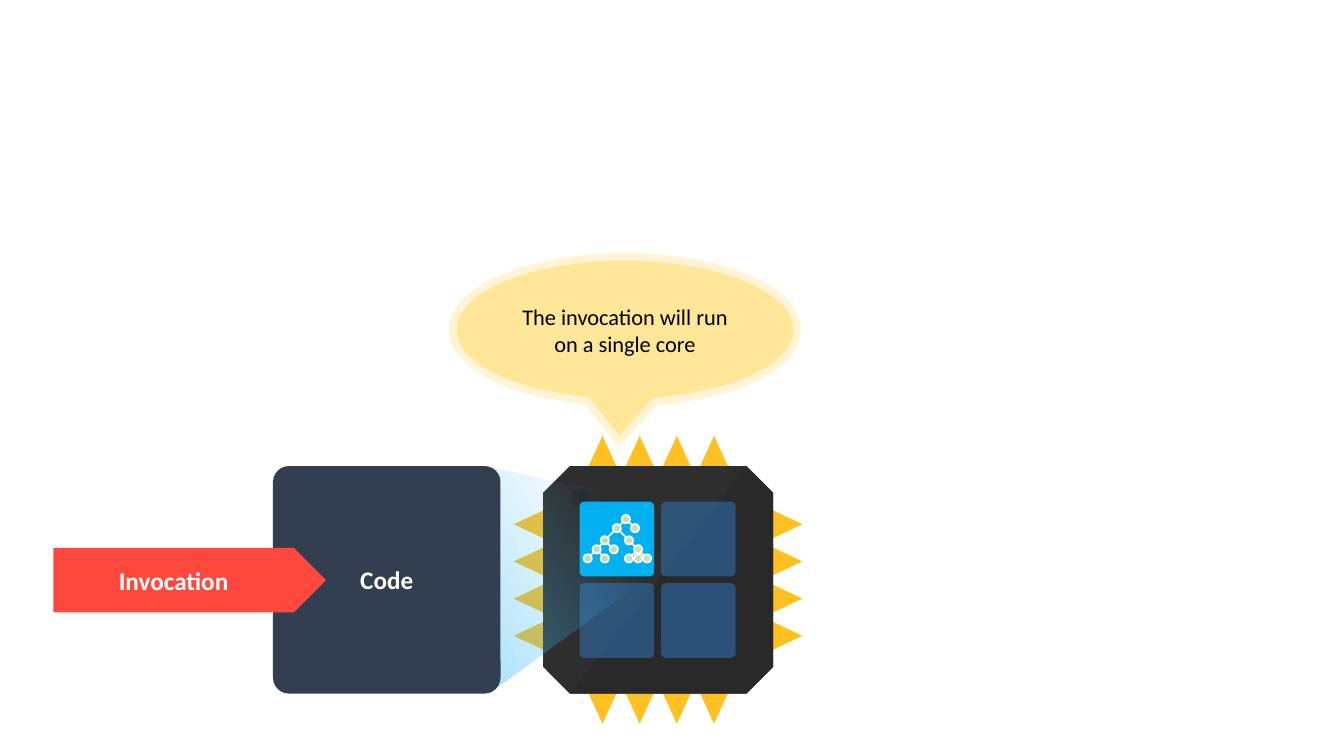
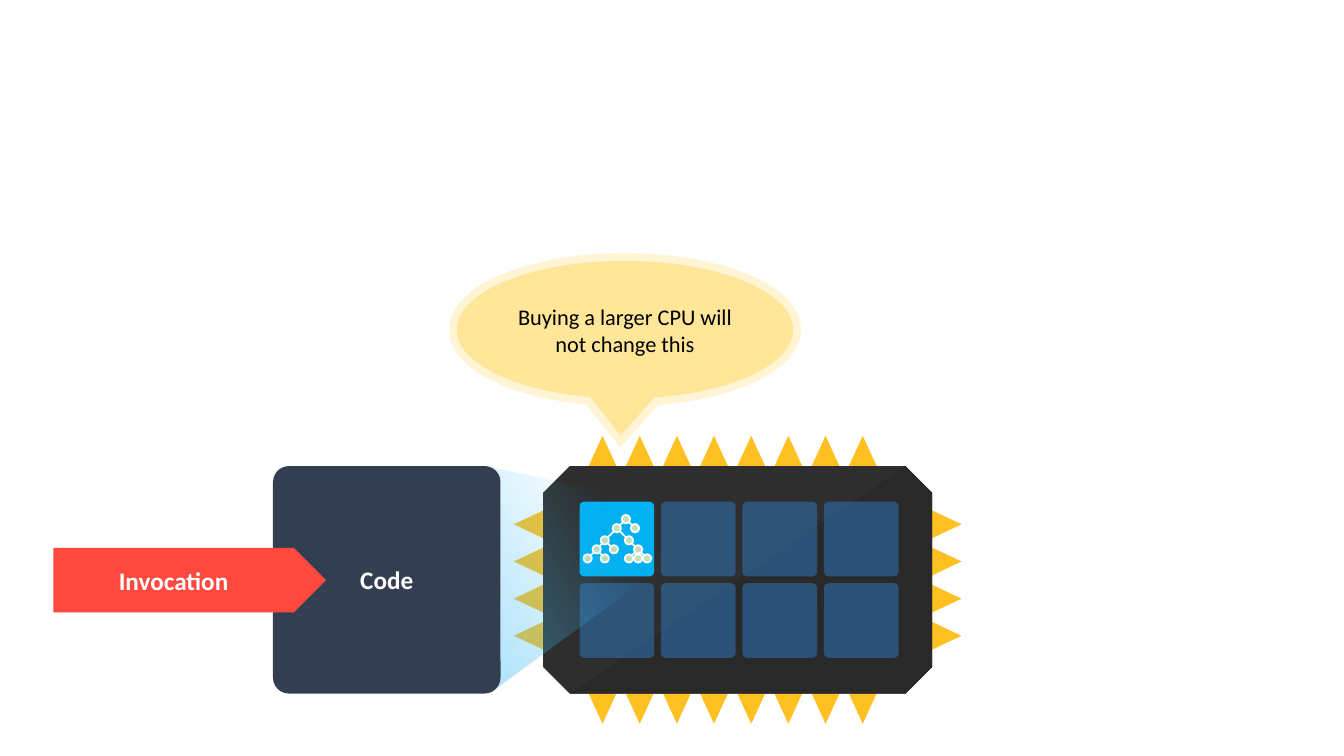
from lxml.etree import SubElement
from pptx import Presentation
from pptx.dml.color import RGBColor
from pptx.enum.shapes import MSO_CONNECTOR, MSO_SHAPE
from pptx.enum.text import MSO_ANCHOR, PP_ALIGN
from pptx.oxml.ns import qn
from pptx.util import Pt

WHITE = RGBColor(0xFF, 0xFF, 0xFF)
BLACK = RGBColor(0x00, 0x00, 0x00)
GOLD = RGBColor(0xFF, 0xC0, 0x21)
CHIP = RGBColor(0x2E, 0x2E, 0x2E)
CHIP_SHADE = RGBColor(0x29, 0x29, 0x29)
IDLE_CORE = RGBColor(0x2E, 0x75, 0xB6)
BUSY_CORE = RGBColor(0x00, 0xB0, 0xF0)
NODE = RGBColor(0xC5, 0xE0, 0xB4)
BEAM = RGBColor(0x43, 0xBF, 0xF7)
NAVY = RGBColor(0x33, 0x3F, 0x50)
RED = RGBColor(0xFF, 0x49, 0x3E)
CREAM = RGBColor(0xFF, 0xE6, 0x99)

LABEL = {"name": "Calibri", "size": Pt(18), "bold": True}
REMARK = {"name": "Calibri", "size": Pt(16), "bold": False}

CHIP_LEFT, CHIP_TOP, CHIP_HEIGHT = 388, 332.9, 162.5
CHIP_BOTTOM = CHIP_TOP + CHIP_HEIGHT
BEVEL = 0.117
PIN_PITCH, PIN_HALF, PIN_LENGTH, SIDE_PIN_LENGTH = 26.55, 9.9, 21.6, 21
FIRST_PIN_X, FIRST_PIN_Y, SIDE_PINS = 430.4, 374.5, 4
CORE_LEFT, CORE_TOP, CORE_SIZE, CORE_PITCH = 414, 358.4, 53.3, 58.2
CORE_ROWS = 2

# Node centres of the call tree, measured from the corner of the busy core
TREE_NODES = {
    "root": (33.1, 12.4),
    "left": (26.6, 18.9), "right": (39.6, 18.9),
    "outer": (18, 27.6), "inner": (35.3, 27.6),
    "far": (12.2, 34), "near": (24.5, 34), "fan": (41.8, 34),
    "leaf1": (5.8, 40.5), "leaf2": (18, 40.5),
    "leaf3": (35.3, 40.5), "leaf4": (41.8, 40.5), "leaf5": (48.2, 40.5),
}
TREE_CHILDREN = {
    "root": ("left", "right"),
    "left": ("outer", "inner"),
    "outer": ("far", "near"),
    "far": ("leaf1", "leaf2"),
    "inner": ("fan",),
    "fan": ("leaf3", "leaf4", "leaf5"),
}
NODE_SIZE, TREE_LINE = 5.9, 1.25


def set_opacity(element, percent):
    """Make the first colour inside the element partly transparent."""
    colour = next(element.iter(qn("a:srgbClr")))
    SubElement(colour, qn("a:alpha")).set("val", str(percent * 1000))


def paint(shape, colour):
    shape.shadow.inherit = False
    shape.line.fill.background()
    shape.fill.solid()
    shape.fill.fore_color.rgb = colour


def add_figure(page, kind, box, colour, adjustments=()):
    shape = page.shapes.add_shape(kind, *(Pt(length) for length in box))
    paint(shape, colour)
    for index, value in enumerate(adjustments):
        shape.adjustments[index] = value
    return shape


def add_outline(page, contours, colour):
    """Draw one freeform made of closed contours, each a list of points."""
    builder = None
    for contour in contours:
        first, *rest = [(Pt(x), Pt(y)) for x, y in contour]
        if builder is None:
            builder = page.shapes.build_freeform(*first)
        else:
            builder.move_to(*first)
        builder.add_line_segments(rest, close=True)
    shape = builder.convert_to_shape()
    paint(shape, colour)
    return shape


def write(shape, text, style, colour):
    frame = shape.text_frame
    frame.word_wrap = True
    frame.vertical_anchor = MSO_ANCHOR.MIDDLE
    para = frame.paragraphs[0]
    para.alignment = PP_ALIGN.CENTER
    span = para.add_run()
    span.text = text
    for name, value in style.items():
        setattr(span.font, name, value)
    span.font.color.rgb = colour


def add_pins(page, chip_right, columns, joined):
    """Draw the pins around the chip, as one joined outline or one by one."""
    pins = []
    for index in range(columns * 2):
        x = FIRST_PIN_X + index * PIN_PITCH
        for edge, tip in ((CHIP_TOP, CHIP_TOP - PIN_LENGTH),
                          (CHIP_BOTTOM, CHIP_BOTTOM + PIN_LENGTH)):
            pins.append([(x - PIN_HALF, edge), (x + PIN_HALF, edge), (x, tip)])
    for index in range(SIDE_PINS):
        y = FIRST_PIN_Y + index * PIN_PITCH
        for edge, tip in ((CHIP_LEFT, CHIP_LEFT - SIDE_PIN_LENGTH),
                          (chip_right, chip_right + SIDE_PIN_LENGTH)):
            pins.append([(edge, y - PIN_HALF), (edge, y + PIN_HALF), (tip, y)])
    for contours in [pins] if joined else [[pin] for pin in pins]:
        add_outline(page, contours, GOLD)


def add_chip(page, width, columns, joined):
    right = CHIP_LEFT + width
    cut = BEVEL * CHIP_HEIGHT
    add_pins(page, right, columns, joined)
    add_figure(page, MSO_SHAPE.OCTAGON,
               (CHIP_LEFT, CHIP_TOP, width, CHIP_HEIGHT), CHIP, [BEVEL])
    add_outline(page, [[
        (CHIP_LEFT + cut, CHIP_BOTTOM), (right - cut, CHIP_TOP),
        (right, CHIP_TOP + cut), (right, CHIP_BOTTOM - cut),
        (right - cut, CHIP_BOTTOM),
    ]], CHIP_SHADE)


def add_cores(page, columns):
    for row in range(CORE_ROWS):
        for column in range(columns):
            busy = row == column == 0
            core = add_figure(
                page, MSO_SHAPE.ROUNDED_RECTANGLE,
                (CORE_LEFT + column * CORE_PITCH, CORE_TOP + row * CORE_PITCH,
                 CORE_SIZE, CORE_SIZE),
                BUSY_CORE if busy else IDLE_CORE, [0.062])
            if not busy:
                set_opacity(core.element.spPr, 55)


def add_branch(page, start, end):
    line = page.shapes.add_connector(
        MSO_CONNECTOR.STRAIGHT, *(Pt(value) for value in (*start, *end)))
    line.line.color.rgb = WHITE
    line.line.width = Pt(TREE_LINE)
    SubElement(line.element.spPr, qn("a:effectLst"))


def add_call_tree(page):
    centres = {name: (CORE_LEFT + x, CORE_TOP + y)
               for name, (x, y) in TREE_NODES.items()}
    for parent, children in TREE_CHILDREN.items():
        for child in children:
            add_branch(page, centres[parent], centres[child])
    for x, y in centres.values():
        node = add_figure(
            page, MSO_SHAPE.OVAL,
            (x - NODE_SIZE / 2, y - NODE_SIZE / 2, NODE_SIZE, NODE_SIZE), NODE)
        node.line.color.rgb = WHITE
        node.line.width = Pt(TREE_LINE)


def add_beam(page):
    """Fan a fading light from the code block onto the busy core."""
    beam = add_outline(page, [[
        (347.8, 333.4), (463.7, 358.6), (465.8, 359.3), (466.6, 361.4),
        (466.6, 408.2), (465.8, 410.4), (463.7, 411.8), (350.6, 494.6),
    ]], BEAM)
    beam.fill.gradient()
    beam.fill.gradient_angle = 30
    for stop, position in zip(beam.fill.gradient_stops, (0, 0.76)):
        stop.color.rgb = BEAM
        stop.position = position
    for stop, percent in zip(list(beam.element.iter(qn("a:gs"))), (45, 0)):
        set_opacity(stop, percent)


def add_code_and_invocation(page):
    code = add_figure(page, MSO_SHAPE.ROUNDED_RECTANGLE,
                      (195, CHIP_TOP, CHIP_HEIGHT, CHIP_HEIGHT), NAVY, [0.07])
    write(code, "Code", LABEL, WHITE)
    arrow = add_figure(page, MSO_SHAPE.RIGHT_ARROW,
                       (38.2, 391.3, 194.6, 46.2), RED, [1, 0.5])
    write(arrow, "Invocation", LABEL, WHITE)


def add_callout(page, text, tip):
    bubble = add_figure(page, MSO_SHAPE.OVAL_CALLOUT,
                        (326.2, 186.3, 240.5, 98.4), CREAM, [tip, 0.768])
    bubble.line.color.rgb = CREAM
    bubble.line.width = Pt(11)
    border = bubble.element.spPr.find(qn("a:ln"))
    set_opacity(border, 42)
    SubElement(border, qn("a:miter")).set("lim", "800000")
    write(bubble, text, REMARK, BLACK)


def add_cpu_page(deck, remark, tip, columns, chip_width, small=False):
    """Add a page with a chip; the small one has joined pins and a marker dot."""
    page = deck.slides.add_slide(deck.slide_layouts[6])
    add_chip(page, chip_width, columns, joined=small)
    if small:
        add_figure(page, MSO_SHAPE.OVAL, (406.8, 349.2, 13.7, 13.7), CHIP_SHADE)
    add_cores(page, columns)
    add_call_tree(page)
    add_beam(page)
    add_code_and_invocation(page)
    add_callout(page, remark, tip)


def main():
    deck = Presentation()
    deck.slide_width, deck.slide_height = Pt(960), Pt(540)
    add_cpu_page(deck, "The invocation will run on a single core",
                 tip=-0.017, columns=2, chip_width=164.2, small=True)
    add_cpu_page(deck, "Buying a larger CPU will not change this",
                 tip=-0.013, columns=4, chip_width=277.8)
    deck.save("out.pptx")


if __name__ == "__main__":
    main()
